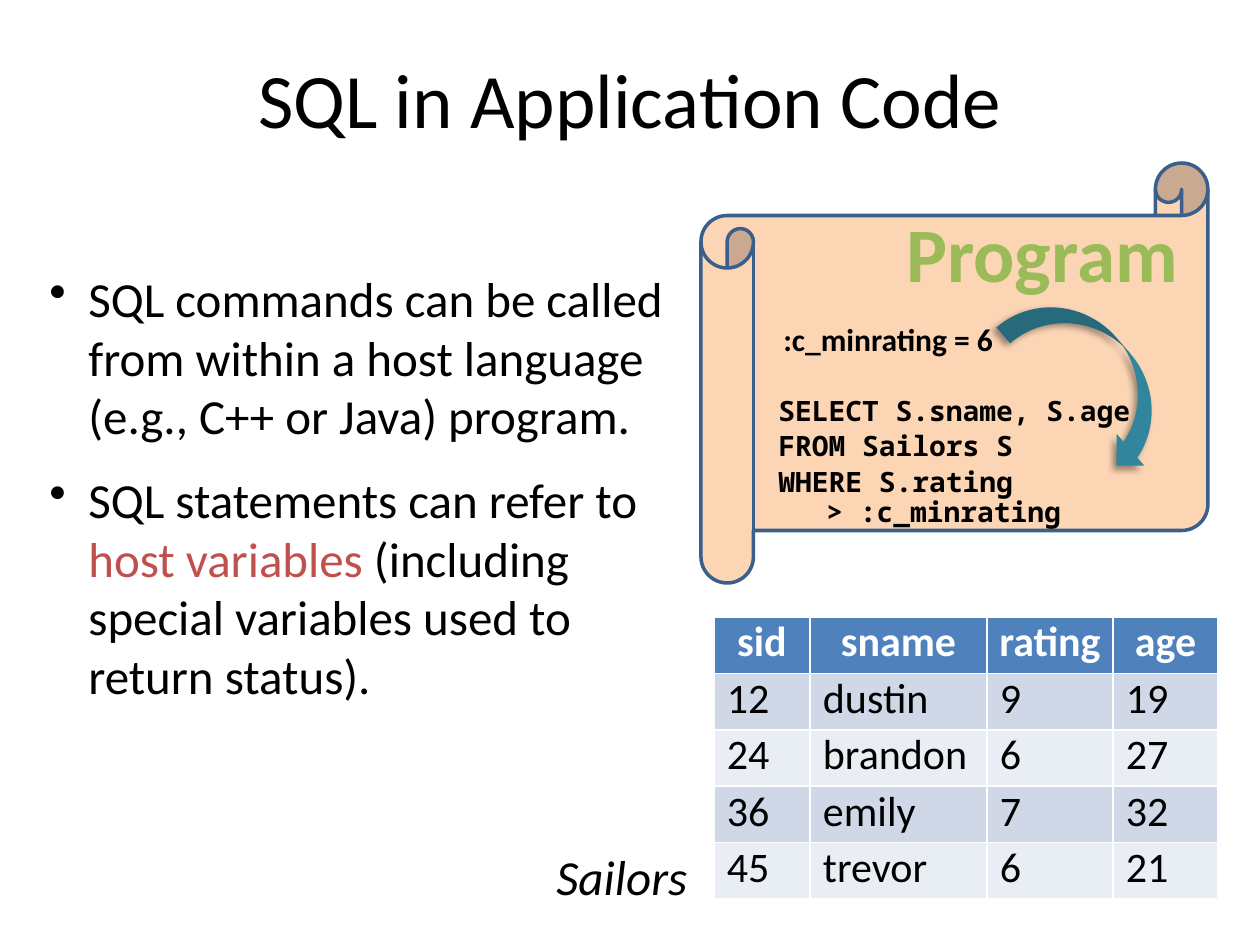
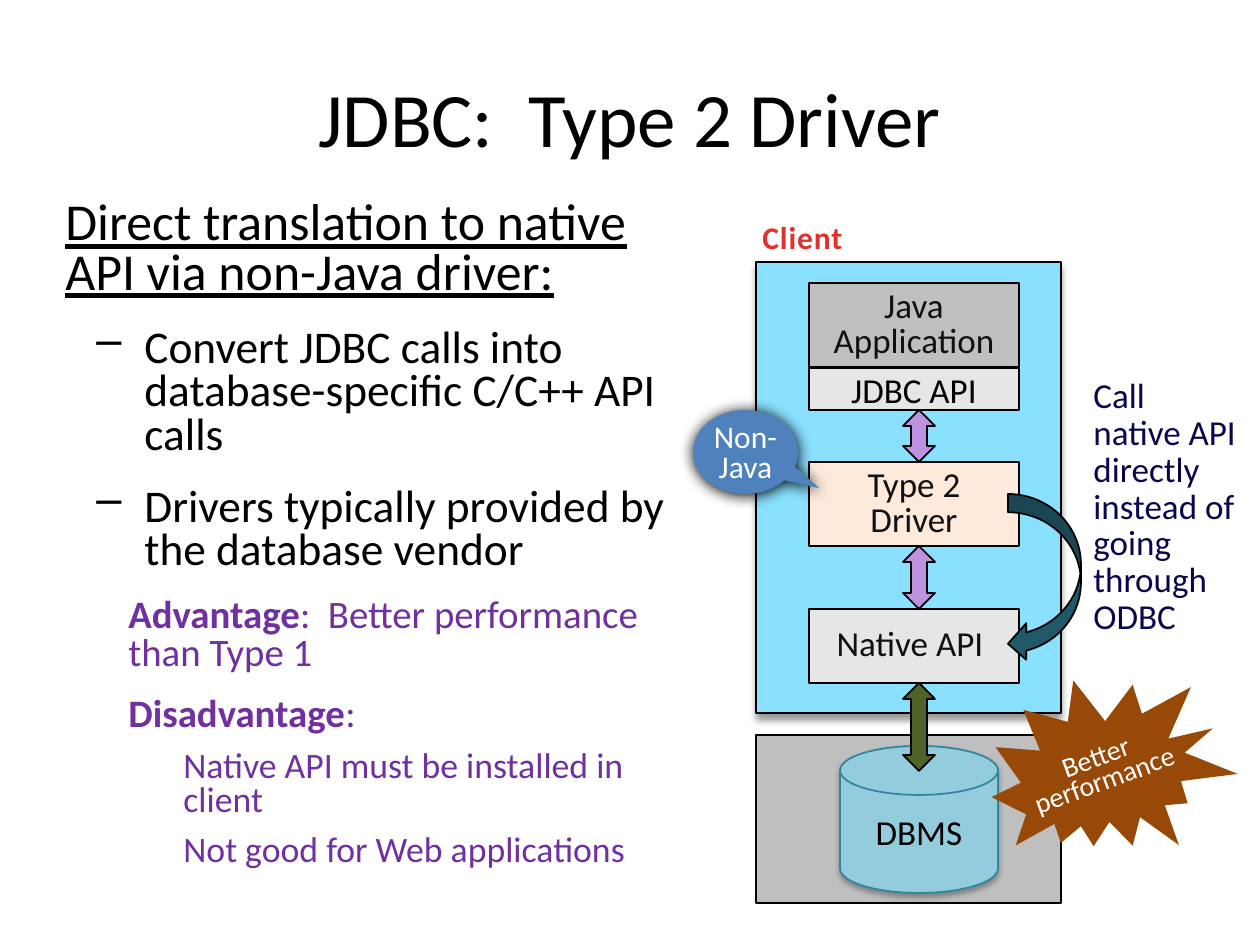
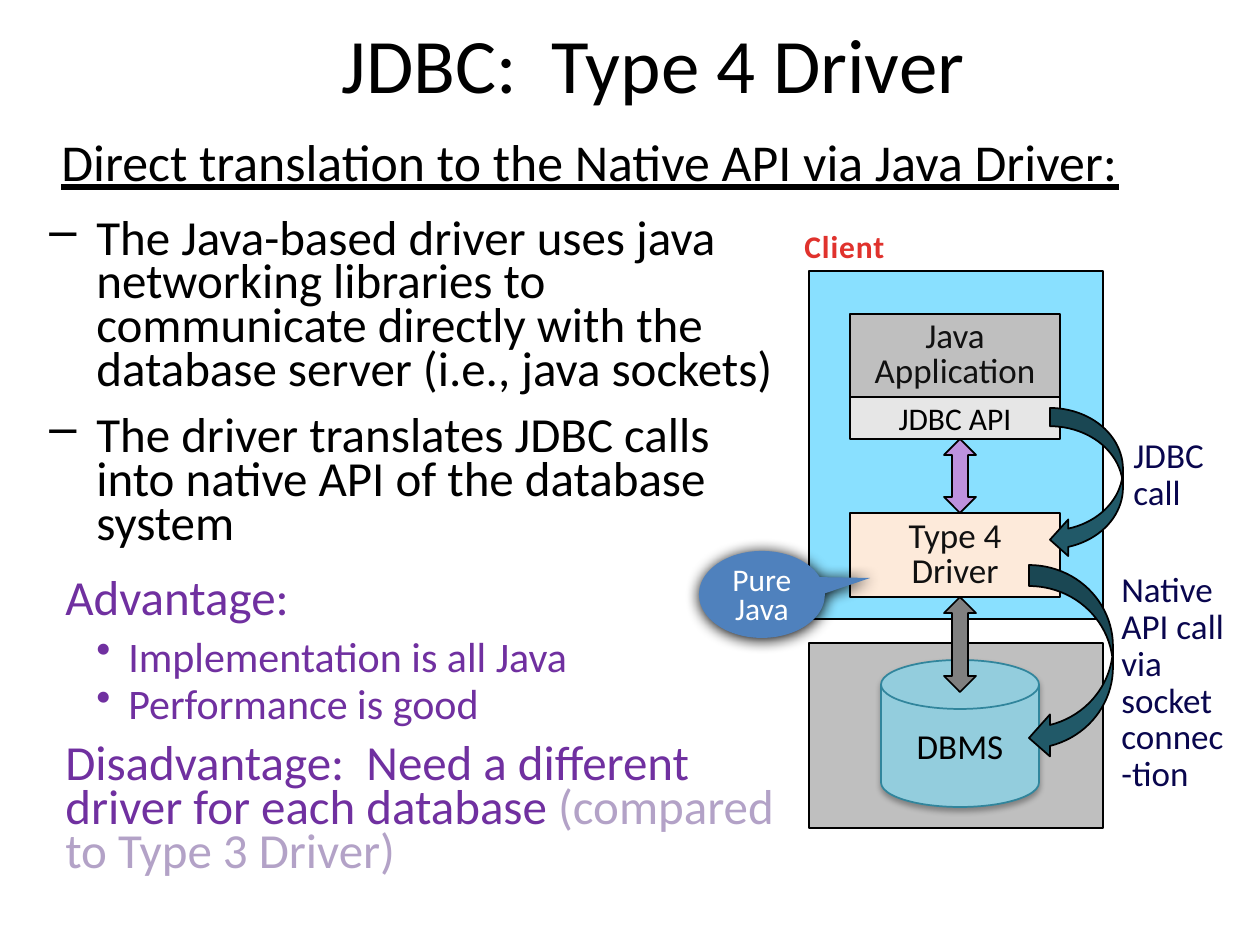
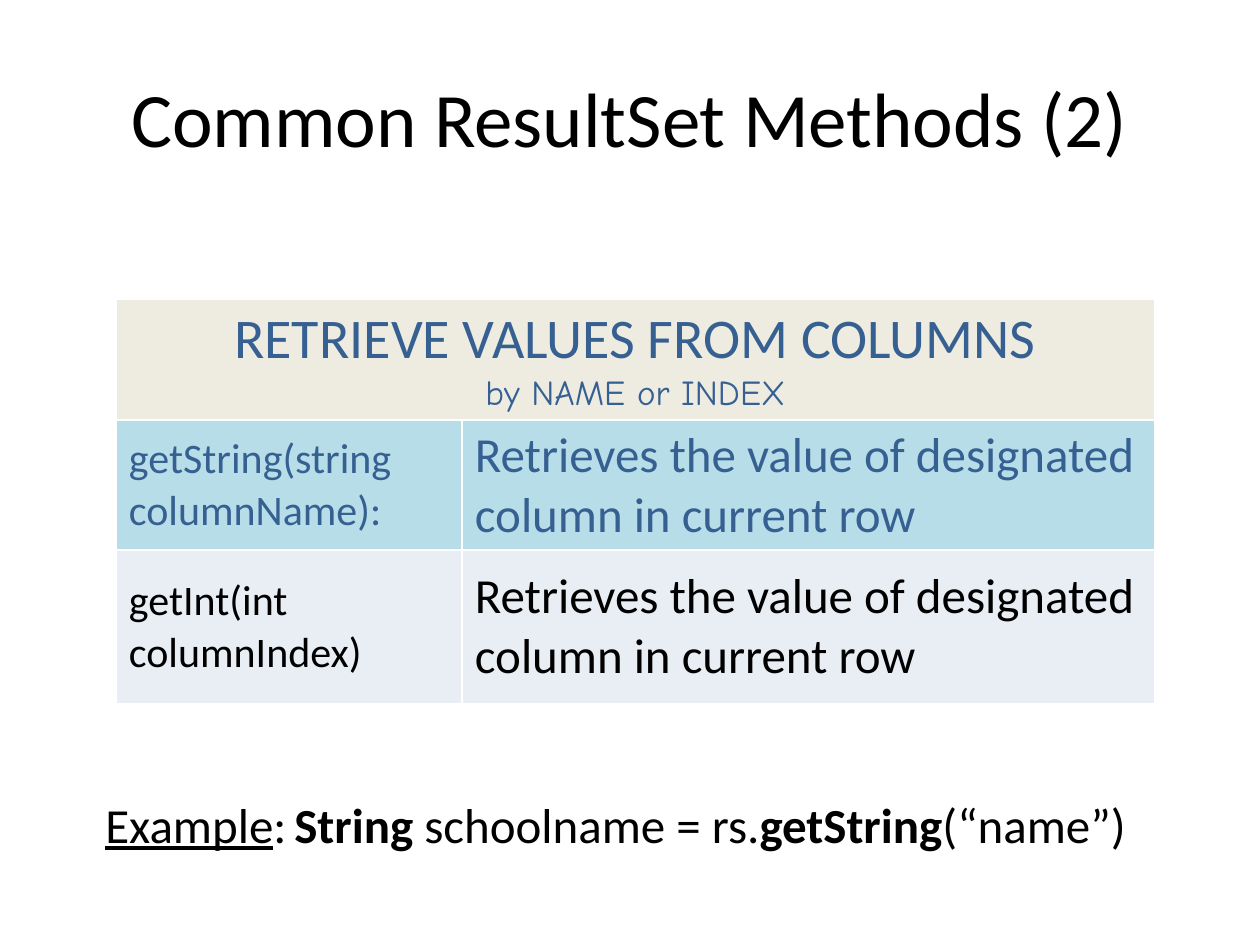
"""Build four slides on calling SQL from application code and on JDBC drivers."""
from lxml.etree import SubElement
from pptx import Presentation
from pptx.dml.color import RGBColor
from pptx.enum.shapes import MSO_SHAPE as Preset
from pptx.enum.text import MSO_ANCHOR as Anchor, PP_ALIGN as Align
from pptx.oxml.ns import qn
from pptx.util import Pt

EMU_PER_PX = 914400 / 126
SLIDE_SIZE = (1260, 945)
BODY_FONT, CODE_FONT, HAND_FONT = "Calibri", "Noto Sans Mono", "Comic Neue"
BLACK, WHITE, INK, NAVY = "000000", "FFFFFF", "111111", "09064E"
PURPLE, LILAC, RED, CLIENT_RED = "7030A0", "B3A2C7", "C0504D", "E0322D"
BLUE, DEEP_BLUE, SCROLL_EDGE = "4F81BD", "376092", "3A5F8C"
BAND_DARK, BAND_LIGHT, SKY, CREAM = "D0D8E8", "E9EDF4", "B7DEE8", "EEECE1"
GRAY, PALE_GRAY, PEACH, CYAN = "BFBFBF", "E6E6E6", "FDEADA", "89E0FF"
TEAL, DARK_TEAL, DISK_FILL = "31859C", "215968", "93CDDD"
VIOLET, OLIVE, MID_GRAY, RUST = "BD92DE", "4F6228", "808080", "984807"
SCROLL_FILL, GREEN = "FCD5B5", "9BBB59"

TITLES = [
    ("SQL in Application Code", (63, 38, 1134, 120)),
    ("JDBC:  Type 2 Driver", (63, 38, 1134, 158)),
    ("JDBC:  Type 4 Driver", (118, 5, 1071, 115)),
    ("Common ResultSet Methods (2)", (63, 38, 1134, 158)),
]

HOST_POINTS = [
    dict(text=["SQL commands can be called from within a host language (e.g., C++ or Java) program."]),
    dict(text=["SQL statements can refer to ", ("host variables ", dict(color=RED)),
               "(including special variables used to return status)."], before=5),
]
QUERY = [
    dict(text=["SELECT S.sname, S.age"]),
    dict(text=["FROM Sailors S"], before=3),
    dict(text=["WHERE S.rating", "\v", "> :c_minrating"], before=3),
]
SAILORS = [
    ("sid", "sname", "rating", "age"),
    ("12", "dustin", "9", "19"),
    ("24", "brandon", "6", "27"),
    ("36", "emily", "7", "32"),
    ("45", "trevor", "6", "21"),
]

DASH = dict(size=25.9, left=79, hang=48, bullet="–", before=4, after=12)
VERDICT = dict(size=22.2, left=63, before=2, color=PURPLE)
DRAWBACK = dict(size=20.4, left=118, before=3, color=PURPLE)
TYPE_2_POINTS = [
    dict(text=["Direct translation to native API via non-Java driver:"],
         size=29.6, underline=True, after=12),
    dict(text=["Convert JDBC calls into database-specific C/C++ API calls"], **DASH),
    dict(text=["Drivers typically provided by the database vendor"], **DASH),
    dict(text=[("Advantage", dict(bold=True)), ":  Better performance than Type 1"],
         after=12, **VERDICT),
    dict(text=[("Disadvantage", dict(bold=True)), ":"], after=6, **VERDICT),
    dict(text=["Native API must be installed in client"], after=6, **DRAWBACK),
    dict(text=["Not good for Web applications"], **DRAWBACK),
]

TYPE_4_HEADING = "Direct translation to the Native API via Java Driver:"
DRIVER_POINT = dict(left=63, hang=47, bullet="–", line=Pt(25), after=8)
MERIT = dict(size=24, left=95, hang=32, bullet="•", line=0.8, before=4, color=PURPLE)
TYPE_4_POINTS = [
    dict(text=["The Java-based driver uses java networking libraries to communicate "
               "directly with the database server (i.e., java sockets)"], **DRIVER_POINT),
    dict(text=["The driver translates JDBC calls into native API of the database system"],
         before=5, **DRIVER_POINT),
    dict(text=["Advantage:"], left=32, line=0.9, before=5, after=4, color=PURPLE),
    dict(text=["Implementation is all Java"], **MERIT),
    dict(text=["Performance is good"], after=6, **MERIT),
    dict(text=["Disadvantage:  Need a different driver for each database ",
               ("(compared to Type 3 Driver)", dict(color=LILAC))],
         left=32, line=Pt(25), before=5, color=PURPLE),
]

TYPE_2_DIAGRAM = dict(
    client=(756, 262, 305, 451), client_shadow=(40, 4, 3, 90), label_left=746,
    server=(756, 735, 305, 168), stack_left=809, disk_top=746, reach=25,
    layers=[
        ("Java Application", 283, 84, GRAY, {}),
        ("JDBC API", 368, 42, PALE_GRAY, dict(color=BLACK, line=None)),
        ("Type 2 Driver", 462, 84, PEACH, {}),
        ("Native API ", 609, 74, PALE_GRAY, {}),
    ],
    links=[None, VIOLET, VIOLET, OLIVE],
    calls=[(1008, 494, 73, 168)],
    notes=[("Call native API directly instead of going through ODBC", (1081, 373, 168, 310))],
    remark=("Non-Java", (693, 410, 105, 84), (0.704, 0.431)),
)
TYPE_4_DIAGRAM = dict(
    client=(809, 271, 294, 348), client_shadow=None, label_left=788,
    server=(809, 643, 294, 185), stack_left=850, disk_top=660, reach=32,
    layers=[
        ("Java Application", 314, 83, GRAY, {}),
        ("JDBC API", 397, 42, PALE_GRAY, dict(color=BLACK, line=None, size=18)),
        ("Type 4 Driver", 513, 84, PEACH, {}),
    ],
    links=[None, VIOLET, MID_GRAY],
    calls=[(1050, 408, 73, 150), (1029, 565, 84, 194)],
    notes=[("JDBC call", (1121, 433, 103, 87)),
           ("Native API call via socket connec-tion", (1109, 567, 131, 236))],
    remark=("Pure Java", (699, 551, 126, 87), (0.859, -0.189)),
)

METHODS_HEADING = [
    dict(text=["RETRIEVE VALUES FROM COLUMNS"], size=32),
    dict(text=["by NAME or INDEX"], size=20, font=HAND_FONT),
]
METHODS = [
    ("getString(string columnName):", "Retrieves the value of designated column in current row",
     SKY, DEEP_BLUE),
    ("getInt(int columnIndex)", "Retrieves the value of designated column in current row",
     BAND_LIGHT, BLACK),
]
EXAMPLE = [("Example", dict(underline=True)), ":\t", ("String ", dict(bold=True)),
           "schoolname = rs.", ("getString", dict(bold=True)), "(“name”)"]


def emu(px):
    return round(px * EMU_PER_PX)


def place(at):
    return [emu(px) for px in at]


def rgb(hex_color):
    return RGBColor.from_string(hex_color)


def format_paragraph(paragraph, style):
    props = paragraph._p.get_or_add_pPr()
    props.set("marL", str(emu(style.get("left", 0))))
    props.set("indent", str(-emu(style.get("hang", 0))))
    if style.get("bullet"):
        SubElement(props, qn("a:buChar"), char=style["bullet"])
    if style.get("tab"):
        stops = SubElement(props, qn("a:tabLst"))
        SubElement(stops, qn("a:tab"), pos=str(emu(style["tab"])), algn="l")
    paragraph.alignment = style.get("align", Align.LEFT)
    paragraph.line_spacing = style.get("line")
    paragraph.space_before = Pt(style.get("before", 0))
    paragraph.space_after = Pt(style.get("after", 0))


def format_run(run, style):
    font = run.font
    font.name = style.get("font", BODY_FONT)
    font.size = Pt(style["size"])
    font.bold = style.get("bold", False)
    font.italic = style.get("italic", False)
    font.underline = style.get("underline", False)
    font.color.rgb = rgb(style.get("color", BLACK))
    if style.get("tracking"):
        run._r.get_or_add_rPr().set("spc", str(style["tracking"]))


def write(frame, content, **base):
    paragraphs = [dict(text=[content])] if isinstance(content, str) else content
    for index, entry in enumerate(paragraphs):
        style = {**base, **entry}
        paragraph = frame.paragraphs[0] if index == 0 else frame.add_paragraph()
        format_paragraph(paragraph, style)
        for piece in entry["text"]:
            if piece == "\v":
                paragraph.add_line_break()
                continue
            words, changes = (piece, {}) if isinstance(piece, str) else piece
            run = paragraph.add_run()
            run.text = words
            format_run(run, {**style, **changes})


def add_text(slide, at, content, wrap=True, anchor=Anchor.TOP, turn=0, **base):
    box = slide.shapes.add_textbox(*place(at))
    box.rotation = turn
    box.text_frame.word_wrap = wrap
    box.text_frame.vertical_anchor = anchor
    write(box.text_frame, content, **base)


def cast_shadow(shape, opacity, blur, distance, angle):
    effects = shape._element.spPr.find(qn("a:effectLst"))
    shadow = SubElement(effects, qn("a:outerShdw"), blurRad=str(Pt(blur)),
                        dist=str(Pt(distance)), dir=str(angle * 60000), rotWithShape="0")
    tint = SubElement(shadow, qn("a:srgbClr"), val=BLACK)
    SubElement(tint, qn("a:alpha"), val=str(opacity * 1000))


def add_figure(slide, preset, at, fill, edge=BLACK, edge_width=1, shadow=None, turn=0):
    figure = slide.shapes.add_shape(preset, *place(at))
    figure.rotation = turn
    figure.fill.solid()
    figure.fill.fore_color.rgb = rgb(fill)
    if edge:
        figure.line.color.rgb = rgb(edge)
        figure.line.width = Pt(edge_width)
    else:
        figure.line.fill.background()
    figure.shadow.inherit = False
    if shadow:
        cast_shadow(figure, *shadow)
    return figure


def label(figure, content, **base):
    figure.text_frame.word_wrap = True
    figure.text_frame.vertical_anchor = Anchor.MIDDLE
    write(figure.text_frame, content, align=Align.CENTER, **base)


def add_grid(slide, left, top, widths, heights):
    at = (left, top, sum(widths), sum(heights))
    grid = slide.shapes.add_table(len(heights), len(widths), *place(at)).table
    for column, width in zip(grid.columns, widths):
        column.width = emu(width)
    for row, height in zip(grid.rows, heights):
        row.height = emu(height)
    return grid


def fill_cell(cell, content, fill, margins=(13, 6, 13, 6), **base):
    cell.fill.solid()
    cell.fill.fore_color.rgb = rgb(fill)
    cell.vertical_anchor = Anchor.MIDDLE
    cell.margin_left, cell.margin_top, cell.margin_right, cell.margin_bottom = place(margins)
    write(cell.text_frame, content, **base)


def add_driver_diagram(slide, diagram):
    add_figure(slide, Preset.RECTANGLE, diagram["server"], GRAY)
    add_figure(slide, Preset.RECTANGLE, diagram["client"], CYAN, shadow=diagram["client_shadow"])
    add_text(slide, (diagram["label_left"], diagram["client"][1] - 50, 113, 50), "Client",
             wrap=False, align=Align.CENTER, size=18, bold=True, color=CLIENT_RED, tracking=50)

    left, layers = diagram["stack_left"], diagram["layers"]
    for name, top, height, fill, changes in layers:
        layer = add_figure(slide, Preset.RECTANGLE, (left, top, 210, height), fill)
        label(layer, name, **{**dict(size=20, color=INK, line=Pt(20)), **changes})
    disk = add_figure(slide, Preset.FLOWCHART_MAGNETIC_DISK,
                      (left + 31, diagram["disk_top"], 158, 147), DISK_FILL, TEAL,
                      shadow=(32, 3.5, 2.2, 90))
    label(disk, "DBMS", size=20)

    ends = [layer[1] for layer in layers[1:]] + [diagram["disk_top"] + diagram["reach"]]
    for (_, top, height, _, _), end, fill in zip(layers, ends, diagram["links"]):
        if fill:
            start = top + height
            add_figure(slide, Preset.UP_DOWN_ARROW, (left + 94, start, 32, end - start), fill)

    for at in diagram["calls"]:
        add_figure(slide, Preset.CURVED_LEFT_ARROW, at, DARK_TEAL)
    for note, at in diagram["notes"]:
        add_text(slide, at, note, size=20, color=NAVY, line=Pt(21))

    remark, at, tip = diagram["remark"]
    callout = add_figure(slide, Preset.OVAL_CALLOUT, at, BLUE, None, shadow=(100, 8.5, 1, 90))
    callout.adjustments[0], callout.adjustments[1] = tip
    frame = callout.text_frame
    frame.margin_left = frame.margin_right = frame.margin_bottom = 0
    label(callout, remark, size=18, color=WHITE, line=Pt(17))


def build_application_code(slide):
    add_text(slide, (37, 262, 648, 483), HOST_POINTS, size=28, left=39, hang=39,
             bullet="•", after=9)
    grid = add_grid(slide, 714, 617, (96, 177, 126, 105), [52] * len(SAILORS))
    for row, record in enumerate(SAILORS):
        for column, value in enumerate(record):
            cell = grid.cell(row, column)
            if row == 0:
                fill_cell(cell, value, BLUE, (0, 0, 0, 6), size=24, bold=True,
                          color=WHITE, align=Align.CENTER)
            else:
                band = BAND_DARK if row % 2 else BAND_LIGHT
                fill_cell(cell, value, band, (13, 0, 13, 6), size=24)
    add_text(slide, (544, 840, 156, 72), "Sailors", size=28, italic=True)
    add_figure(slide, Preset.HORIZONTAL_SCROLL, (701, 163, 507, 420), SCROLL_FILL, SCROLL_EDGE, 2)
    add_text(slide, (766, 391, 449, 118), QUERY, size=16, font=CODE_FONT, bold=True,
             left=48, hang=48, line=0.9)
    add_text(slide, (892, 199, 300, 106), "Program", wrap=False, align=Align.CENTER,
             size=44, bold=True, color=GREEN)
    add_text(slide, (771, 314, 237, 50), ":c_minrating = 6", wrap=False, size=18, bold=True)
    add_figure(slide, Preset.CURVED_LEFT_ARROW, (1053, 275, 84, 204), TEAL, None,
               shadow=(40, 4, 3, 135), turn=319)


def build_type_2(slide):
    add_text(slide, (53, 195, 662, 697), TYPE_2_POINTS, line=0.8)
    add_driver_diagram(slide, TYPE_2_DIAGRAM)
    add_figure(slide, Preset.EXPLOSION2, (995, 665, 236, 210), RUST, None, turn=20.7)
    add_text(slide, (992, 741, 219, 63), "Better performance", turn=339.8,
             align=Align.CENTER, size=16, color=WHITE, line=Pt(14))


def build_type_4(slide):
    add_text(slide, (21, 215, 769, 725), TYPE_4_POINTS, size=28)
    add_driver_diagram(slide, TYPE_4_DIAGRAM)
    add_text(slide, (49, 131, 1144, 96), TYPE_4_HEADING, size=29.6, underline=True,
             left=48, hang=48, line=0.9, after=8)


def build_methods(slide):
    grid = add_grid(slide, 116, 299, (346, 693), (107, 130, 154))
    grid.cell(0, 0).merge(grid.cell(0, 1))
    fill_cell(grid.cell(0, 0), METHODS_HEADING, CREAM, color=DEEP_BLUE, align=Align.CENTER)
    for row, (method, effect, fill, color) in enumerate(METHODS, 1):
        fill_cell(grid.cell(row, 0), method, fill, size=24, color=color)
        fill_cell(grid.cell(row, 1), effect, fill, size=28, color=color)
    add_text(slide, (93, 788, 1084, 72), [dict(text=EXAMPLE)], size=28, tab=215)


def main():
    deck = Presentation()
    deck.slide_width, deck.slide_height = place(SLIDE_SIZE)
    builders = [build_application_code, build_type_2, build_type_4, build_methods]
    for (title, at), build in zip(TITLES, builders):
        slide = deck.slides.add_slide(deck.slide_layouts[6])
        add_text(slide, at, title, anchor=Anchor.MIDDLE, align=Align.CENTER, size=44)
        build(slide)
    deck.save("out.pptx")


if __name__ == "__main__":
    main()
